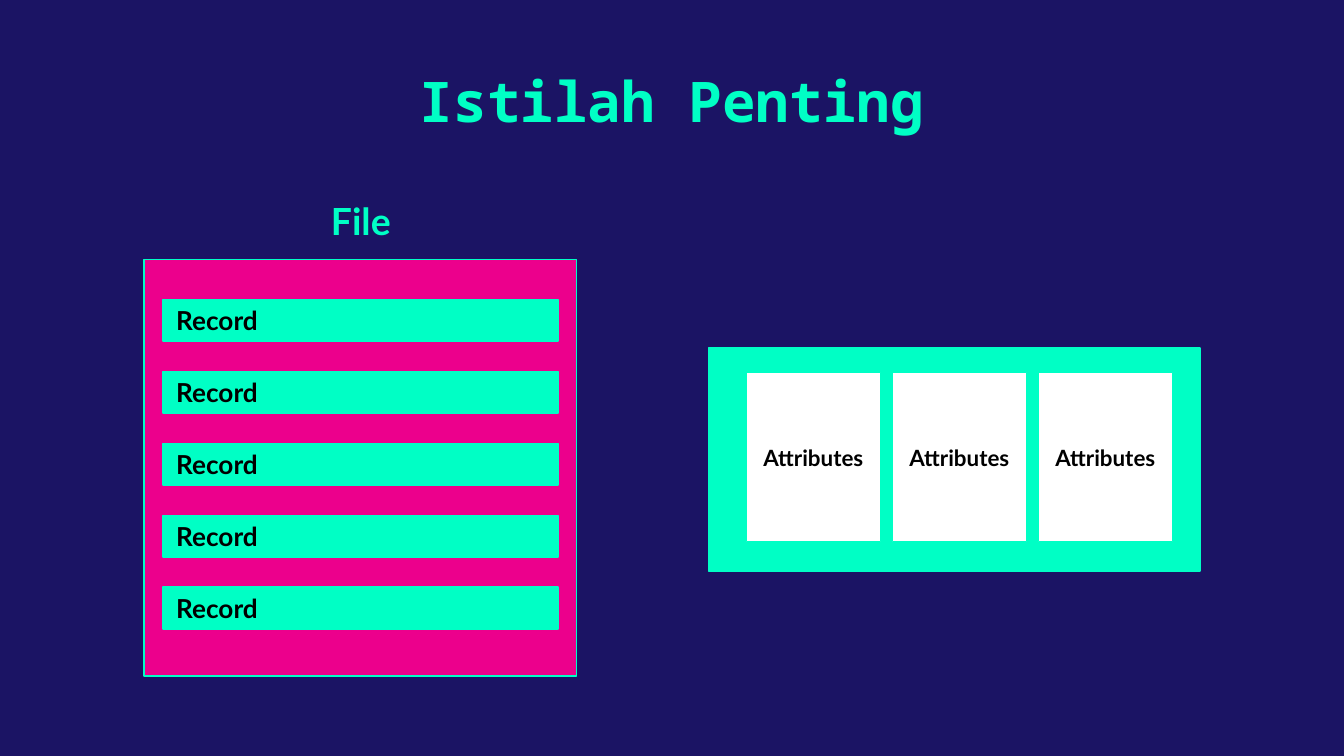
from pptx import Presentation
from pptx.dml.color import RGBColor
from pptx.enum import shapes, text
from pptx.util import Pt

NAVY = RGBColor(0x1B, 0x14, 0x64)
MINT = RGBColor(0x00, 0xFF, 0xC5)
PINK = RGBColor(0xEC, 0x00, 0x8C)
WHITE = RGBColor(0xFF, 0xFF, 0xFF)
BLACK = RGBColor(0x00, 0x00, 0x00)

# Content
TITLE = "Istilah Penting"
FILE_LABEL = "File"
RECORDS = ["Record"] * 5
ATTRIBUTES = ["Attributes"] * 3

# Layout in points: left, top, width, height
TITLE_BOX = (100.8, 27.36, 518.4, 52.56)
LABEL_BOX = (113.04, 101.52, 160.56, 33.84)
FILE_BOX = (77.04, 138.96, 231.84, 223.2)
FIRST_RECORD = (87.3, 160.4, 211.7, 22.4)
RECORD_STEP = 38.55
RECORD_BOX = (379.44, 186.48, 263.52, 119.52)
FIRST_ATTRIBUTE = (399.8, 199.6, 72, 90.7)
ATTRIBUTE_STEP = 78.2

LEFT, CENTER = text.PP_ALIGN.LEFT, text.PP_ALIGN.CENTER


def write(shape, wording, size, color, align, font="Lato"):
    frame = shape.text_frame
    frame.word_wrap = True
    frame.vertical_anchor = text.MSO_ANCHOR.MIDDLE
    frame.margin_left = frame.margin_right = Pt(7.2)
    frame.margin_top = frame.margin_bottom = Pt(7.2)
    frame.text = wording
    paragraph = frame.paragraphs[0]
    paragraph.alignment = align
    run_font = paragraph.runs[0].font
    run_font.name, run_font.size, run_font.bold = font, Pt(size), True
    run_font.color.rgb = color


def add_box(slide, box, fill):
    shape = slide.shapes.add_shape(shapes.MSO_SHAPE.RECTANGLE, *map(Pt, box))
    shape.shadow.inherit = False
    shape.fill.solid()
    shape.fill.fore_color.rgb = fill
    shape.line.color.rgb = MINT
    shape.line.width = Pt(0.75)
    return shape


def main():
    presentation = Presentation()
    presentation.slide_width, presentation.slide_height = Pt(720), Pt(405)
    slide = presentation.slides.add_slide(presentation.slide_layouts[6])
    slide.background.fill.solid()
    slide.background.fill.fore_color.rgb = NAVY

    # Title and file label
    title = slide.shapes.add_textbox(*map(Pt, TITLE_BOX))
    write(title, TITLE, 30, MINT, CENTER, "Noto Sans Mono")
    label = slide.shapes.add_textbox(*map(Pt, LABEL_BOX))
    write(label, FILE_LABEL, 20, MINT, CENTER)

    # File with its stacked records
    add_box(slide, FILE_BOX, PINK)
    left, top, width, height = FIRST_RECORD
    for row, wording in enumerate(RECORDS):
        record = add_box(slide, (left, top + row * RECORD_STEP, width, height), MINT)
        write(record, wording, 14, BLACK, LEFT)

    # One record with its attributes side by side
    add_box(slide, RECORD_BOX, MINT)
    left, top, width, height = FIRST_ATTRIBUTE
    for column, wording in enumerate(ATTRIBUTES):
        attribute = add_box(slide, (left + column * ATTRIBUTE_STEP, top, width, height), WHITE)
        write(attribute, wording, 12, BLACK, CENTER)

    presentation.save("out.pptx")


if __name__ == "__main__":
    main()
